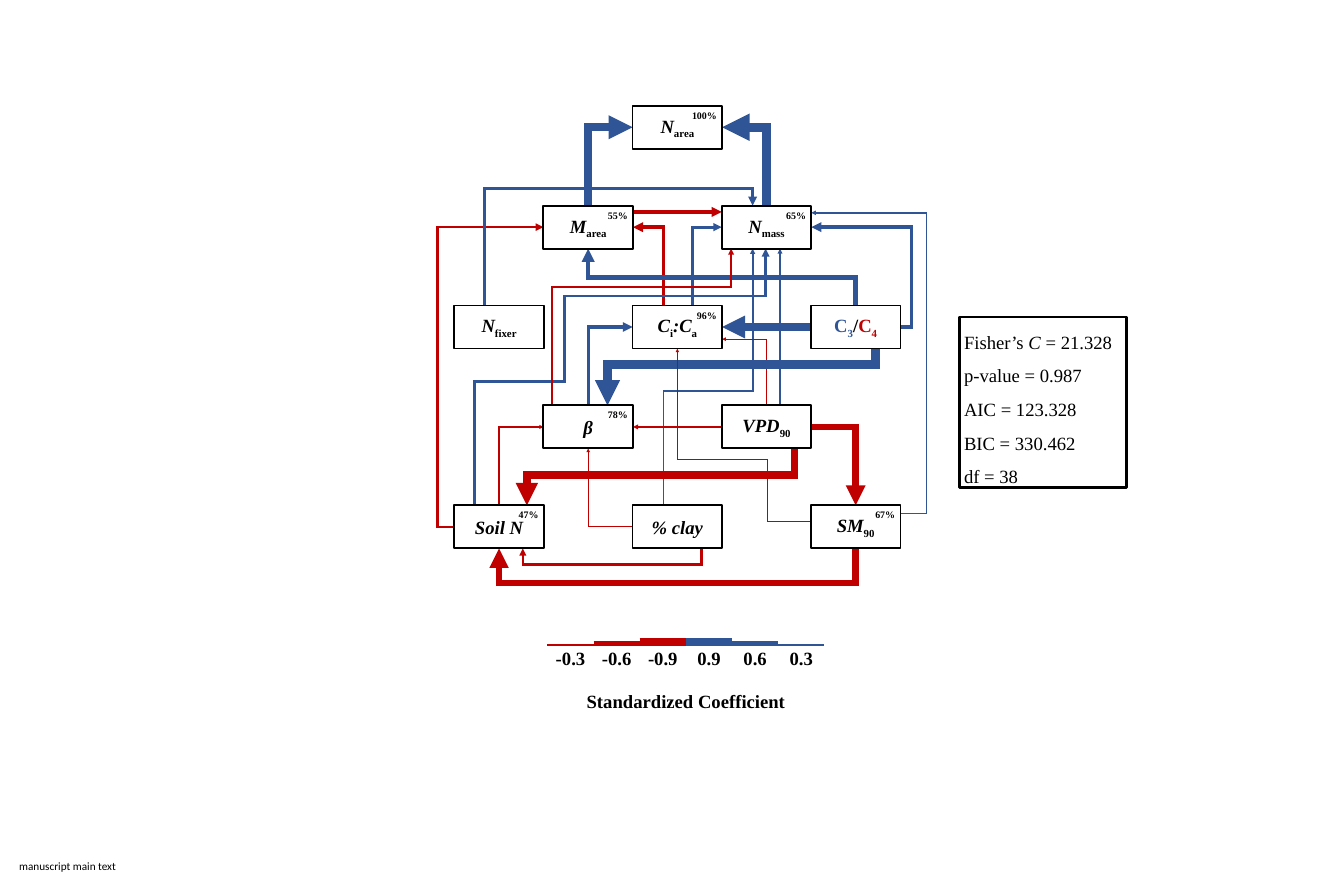
from lxml.etree import SubElement
from pptx import Presentation
from pptx.dml.color import RGBColor
from pptx.enum.shapes import MSO_CONNECTOR, MSO_SHAPE
from pptx.enum.text import MSO_ANCHOR, PP_ALIGN
from pptx.oxml.ns import qn
from pptx.util import Emu, Pt

PX = 9144  # EMU per px, 100 px to the inch
COLORS = {"blue": "2F5597", "red": "C00000", "black": "000000", "white": "FFFFFF"}
SERIF = "Times New Roman"
ITALIC, SUB = {"italic": True}, {"sub": True}

NODE_W, NODE_H = 200, 96
COL_STEP, ROW_STEP = 199, 223

# name: column, row, runs, explained variance
NODES = {
    "Narea": (2, 0, [("Ν", ITALIC), ("area", SUB)], "100%"),
    "Marea": (1, 1, [("M", ITALIC), ("area", SUB)], "55%"),
    "Nmass": (3, 1, [("N", ITALIC), ("mass", SUB)], "65%"),
    "Nfixer": (0, 2, [("N", ITALIC), ("fixer", SUB)], None),
    "CiCa": (2, 2, [("C", ITALIC), ("i", SUB), (":C", ITALIC), ("a", SUB)], "96%"),
    "C3C4": (4, 2, [("C", {"color": "blue"}), ("3", {"color": "blue", **SUB}), ("/", {}),
                    ("C", {"color": "red"}), ("4", {"color": "red", **SUB})], None),
    "beta": (1, 3, [("β", ITALIC)], "78%"),
    "VPD": (3, 3, [("VPD", ITALIC), ("90", SUB)], None),
    "SoilN": (0, 4, [("Soil N", ITALIC)], "47%"),
    "clay": (2, 4, [("% clay", ITALIC)], None),
    "SM": (4, 4, [("SM", ITALIC), ("90", SUB)], "67%"),
}

# turning points of the paths that bend more than twice
JOINTS = {"SoilN turn": (246, 425), "SM turn": (498, 790)}

# (node, side, offset from the middle of the side) twice, points, color, bend
PATHS = [
    ("CiCa", "top", 34, "Nmass", "left", 0, 4.54, "blue", None),
    ("SM", "right", -30, "Nmass", "right", -32, 2.41, "blue", 1054),
    ("Nmass", "top", 0, "Narea", "right", 0, 14.75, "blue", None),
    ("Marea", "top", 0, "Narea", "left", 0, 12.89, "blue", None),
    ("CiCa", "top", -31, "Marea", "right", 0, 5.45, "red", None),
    ("SoilN", "left", 0, "Marea", "left", 0, 4.13, "red", -38),
    ("C3C4", "top", 0, "Marea", "bottom", 0, 7.06, "blue", 383),
    ("Marea", "right", -34, "Nmass", "left", -34, 5.35, "red", None),
    ("clay", "top", -31, "Nmass", "bottom", -31, 2.85, "blue", 637),
    ("Nfixer", "top", -32, "Nmass", "top", -31, 4.83, "blue", 184),
    ("C3C4", "right", 0, "Nmass", "right", 0, 5.38, "blue", 1021),
    ("VPD", "top", 30, "Nmass", "bottom", 30, 2.69, "blue", None),
    ("beta", "top", 0, "CiCa", "left", 0, 5.21, "blue", None),
    ("VPD", "top", 0, "CiCa", "right", 27, 1.53, "red", None),
    ("C3C4", "left", 0, "CiCa", "right", 0, 12.36, "blue", None),
    ("SoilN", "top", 0, "beta", "left", 0, 2.25, "red", None),
    ("clay", "left", 0, "beta", "bottom", 0, 1.1, "red", None),
    ("C3C4", "bottom", 44, "beta", "top", 43, 13.5, "blue", 578),
    ("VPD", "left", 0, "beta", "right", 0, 2.73, "red", None),
    ("SM", "bottom", 0, "SoilN", "bottom", 0, 10.38, "red", 1067),
    ("clay", "bottom", 54, "SoilN", "bottom", 53, 3.75, "red", 1025),
    ("VPD", "right", 0, "SM", "top", 0, 10.67, "red", None),
    ("SoilN", "top", -55, "SoilN turn", "bottom", 0, 4.33, "blue", 615),
    ("SoilN turn", "right", 0, "Nmass", "bottom", -2, 4.33, "blue", None),
    ("SM", "left", -13, "SM turn", "right", 0, 1.1, "red", 699),
    ("SM turn", "top", 0, "CiCa", "bottom", 0, 1.1, "red", None),
    ("beta", "top", -80, "Nmass", "bottom", -79, 3.27, "red", 404),
    ("VPD", "bottom", 63, "SoilN", "top", 62, 12, "red", 824),
]

LEGEND = [("-0.3", "red", 3.75), ("-0.6", "red", 7.5), ("-0.9", "red", 13),
          ("0.9", "blue", 13), ("0.6", "blue", 7.5), ("0.3", "blue", 3.75)]

STATS = [[("Fisher’s ", {}), ("C", ITALIC), (" = 21.328", {})], [("p-value = 0.987", {})],
         [("AIC = 123.328", {})], [("BIC = 330.462", {})], [("df = 38", {})]]


def rgb(name):
    return RGBColor.from_string(COLORS[name])


def emu(*lengths):
    return [Emu(round(v * PX)) for v in lengths]


def write(sp, lines, size=30, font=SERIF, bold=True, align=PP_ALIGN.CENTER,
          anchor=MSO_ANCHOR.TOP, spacing=None, wrap=False):
    """Fill a shape with lines, each a list of (text, style) runs."""
    tf = sp.text_frame
    tf.word_wrap, tf.vertical_anchor = wrap, anchor
    for i, runs in enumerate(lines):
        p = tf.add_paragraph() if i else tf.paragraphs[0]
        p.alignment, p.line_spacing = align, spacing
        for text, style in runs:
            r = p.add_run()
            r.text = text
            r.font.name, r.font.size, r.font.bold = font, Pt(size), bold
            r.font.italic = style.get("italic", False)
            r.font.color.rgb = rgb(style.get("color", "black"))
            if style.get("sub"):
                r.font._element.set("baseline", "-25000")


def add_label(s, box, text, **fmt):
    write(s.shapes.add_textbox(*emu(*box)), [[(text, {})]], **fmt)


def add_box(s, box, line_width):
    sp = s.shapes.add_shape(MSO_SHAPE.RECTANGLE, *emu(*box))
    sp.shadow.inherit = False
    sp.fill.solid()
    sp.fill.fore_color.rgb = rgb("white")
    sp.line.color.rgb, sp.line.width = rgb("black"), Pt(line_width)
    return sp


def add_line(s, start, end, width, color, kind=MSO_CONNECTOR.STRAIGHT):
    c = s.shapes.add_connector(kind, *emu(*start, *end))
    c.line.color.rgb, c.line.width = rgb(color), Pt(width)
    SubElement(c._element.spPr, qn("a:effectLst"))
    return c


def add_path(s, start, end, width, color, upright, turns, bend, head):
    """Draw a path that leaves start vertically if upright and turns 0 to 2 times."""
    (x0, y0), (x1, y1) = start, end
    kind = MSO_CONNECTOR.ELBOW if turns else MSO_CONNECTOR.STRAIGHT
    turned = bool(turns and upright)
    if turned:  # lay the path out sideways, then rotate it by 90 degrees
        cx, cy = (x0 + x1) / 2, (y0 + y1) / 2
        half_run, half_rise = ((y1 - y0) or 1) / 2, (x0 - x1) / 2
        start = cx - half_run, cy - half_rise
        end = cx + half_run, cy + half_rise
    c = add_line(s, start, end, width, color, kind)
    spPr = c._element.spPr
    if turned:
        spPr.find(qn("a:xfrm")).set("rot", "5400000")
    geom = spPr.find(qn("a:prstGeom"))
    if turns == 1:
        geom.set("prst", "bentConnector2")
    elif turns == 2:
        share = (bend - (y0 if upright else x0)) / (end[0] - start[0])
        SubElement(geom.find(qn("a:avLst")), qn("a:gd"), name="adj1",
                   fmla=f"val {round(share * 100000)}")
    ln = c.line._get_or_add_ln()
    SubElement(ln, qn("a:miter"), lim="800000")
    if head:
        SubElement(ln, qn("a:tailEnd"), type="triangle")
    else:
        ln.set("cap", "sq")


def side_point(box, side, offset):
    x, y, w, h = box
    if side in ("top", "bottom"):
        return x + w // 2 + offset, y + (h if side == "bottom" else 0)
    return x + (w if side == "right" else 0), y + h // 2 + offset


def path_diagram(s, left, top):
    boxes = {name: (left + col * COL_STEP, top + row * ROW_STEP, NODE_W, NODE_H)
             for name, (col, row, _, _) in NODES.items()}
    boxes.update({name: (left + x, top + y, 0, 0) for name, (x, y) in JOINTS.items()})
    for a, a_side, a_off, b, b_side, b_off, width, color, bend in PATHS:
        upright = a_side in ("top", "bottom")
        if bend is not None:
            turns, bend = 2, bend + (top if upright else left)
        else:
            turns = int(upright != (b_side in ("top", "bottom")))
        add_path(s, side_point(boxes[a], a_side, a_off), side_point(boxes[b], b_side, b_off),
                 width, color, upright, turns, bend, head=b in NODES)
    for name, (_, _, runs, percent) in NODES.items():
        x, y, w, h = boxes[name]
        write(add_box(s, boxes[name], 3), [runs], anchor=MSO_ANCHOR.MIDDLE, wrap=True)
        if percent:
            add_label(s, (x + w - 82, y + 3, 80, 37), percent, size=16, align=PP_ALIGN.RIGHT)


def legend(s, left, base, step=103):
    """Draw the scale with all its bars standing on the base line."""
    for i, (text, color, width) in enumerate(LEGEND):
        x, y = left + i * step, base - width * 100 / 72 / 2
        add_line(s, (x, y), (x + step, y), width, color)
        add_label(s, (x, base - 4, step, 61), text)
    add_label(s, (left, base + 92, step * len(LEGEND), 61), "Standardized Coefficient")


def fit_statistics(s, box):
    write(add_box(s, box, 4), STATS, bold=False, align=PP_ALIGN.LEFT, spacing=1.5, wrap=True)


def main():
    prs = Presentation()
    prs.slide_width, prs.slide_height = emu(3000, 2000)
    s = prs.slides.add_slide(prs.slide_layouts[6])
    legend(s, 1222, 1442)
    path_diagram(s, 1014, 236)
    fit_statistics(s, (2142, 708, 373, 380))
    add_label(s, (33, 1914, 238, 40), "manuscript main text", size=18, font="Calibri",
              bold=False, align=PP_ALIGN.LEFT)
    prs.save("out.pptx")


if __name__ == "__main__":
    main()
